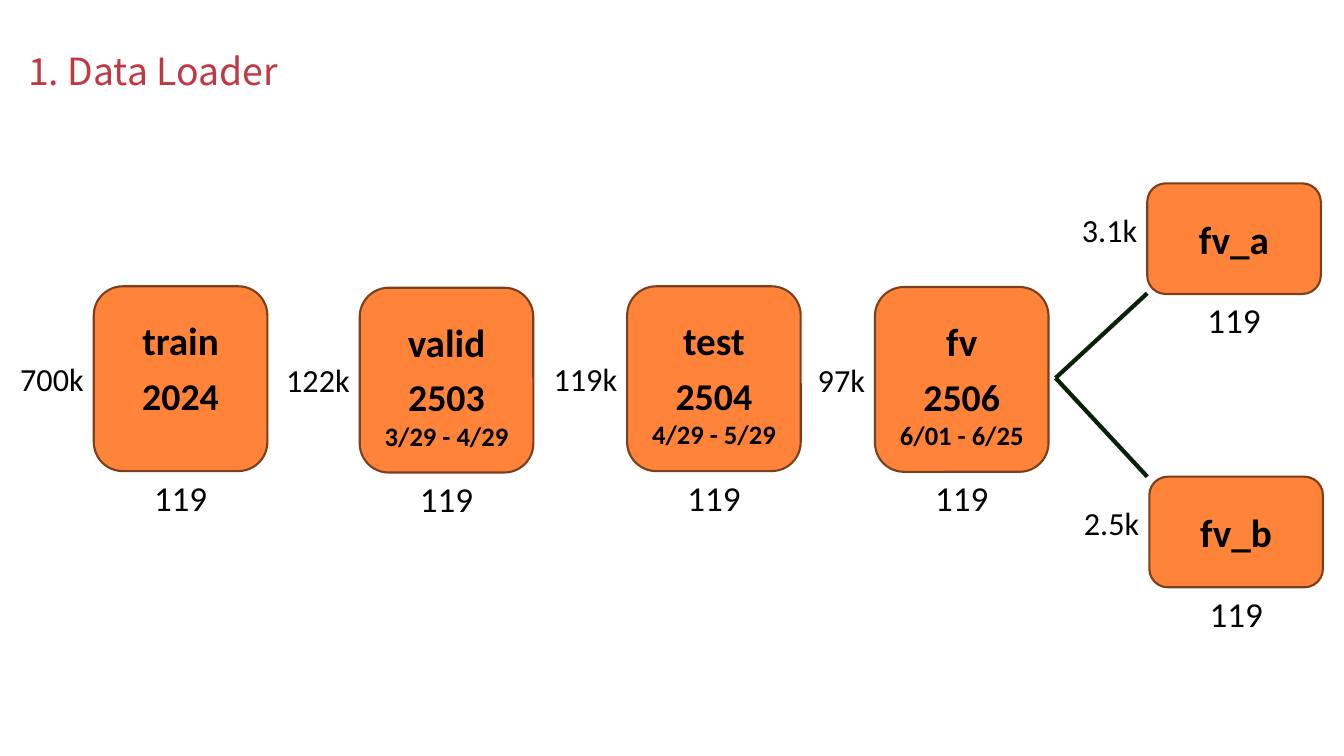
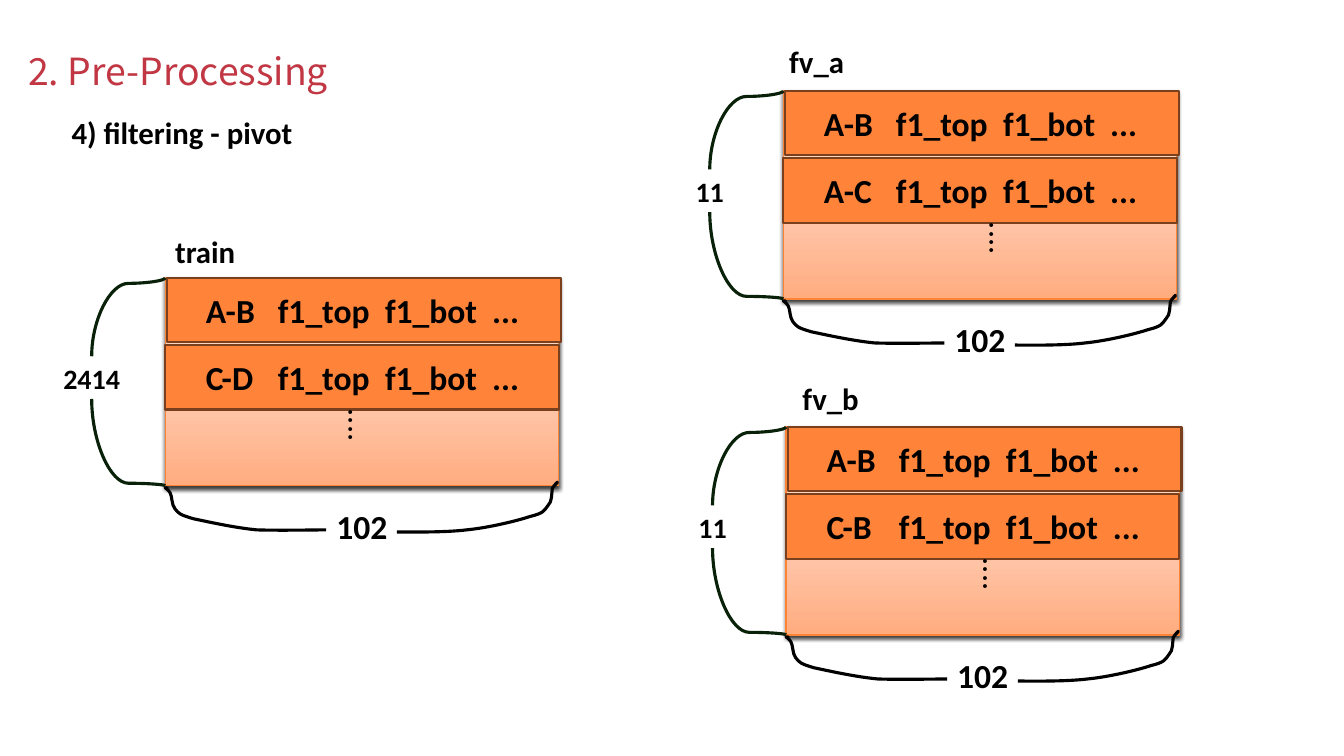
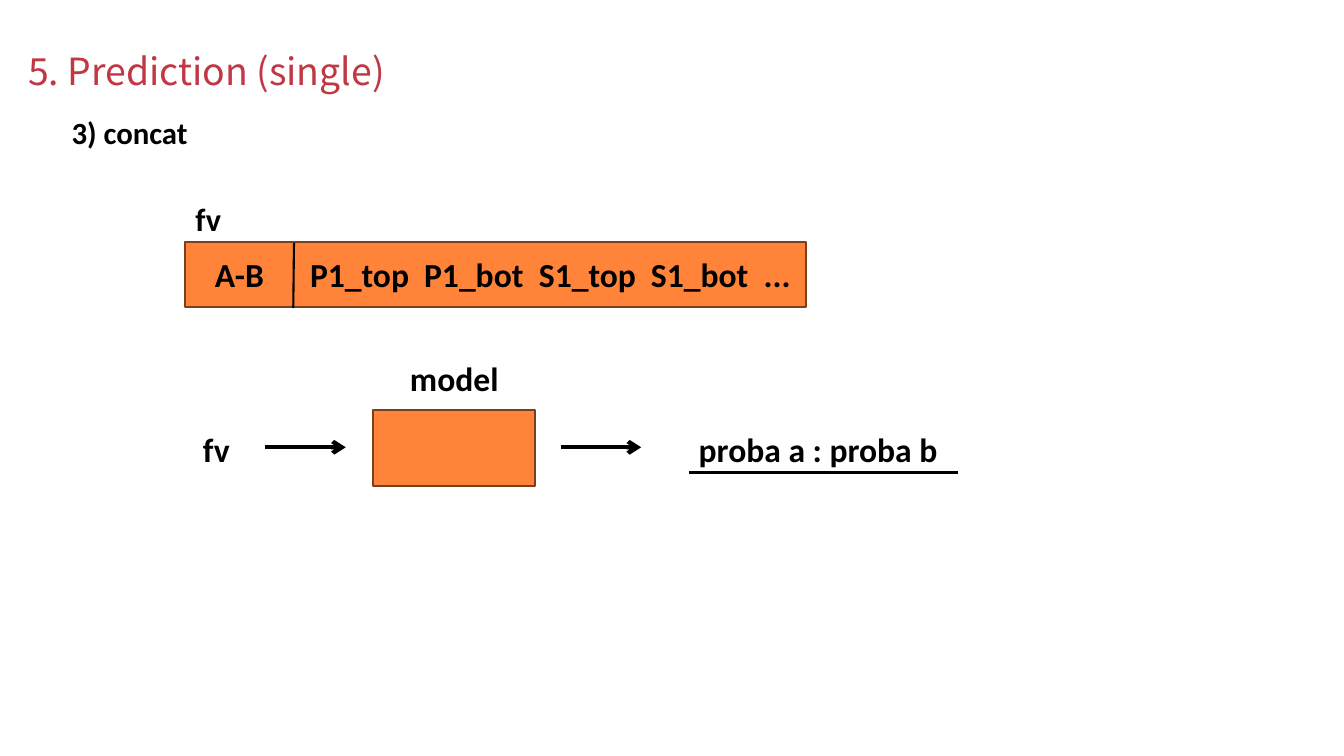
from copy import deepcopy

from pptx import Presentation
from pptx.dml.color import RGBColor
from pptx.enum.shapes import MSO_CONNECTOR as Link, MSO_SHAPE as Preset
from pptx.enum.text import MSO_ANCHOR as Anchor, PP_ALIGN as Align
from pptx.oxml.ns import qn
from pptx.oxml.xmlchemy import OxmlElement
from pptx.util import Pt

COLORS = {
    "title": "C13844", "text": "000000", "orange": "FF843A", "edge": "7A3F1C",
    "branch": "082108", "block_edge": "FF8335",
}
GRADIENT = [(0, "FFAC7F"), (0.35, "FFC3A5"), (1, "FFE7D9")]
BODY_FONT, TITLE_FONT = "Calibri", "Noto Sans CJK KR"

# Data sets: lines of text, row count, left, top
CARD_W, CARD_H, SMALL_H = 124, 132, 79
COLUMNS = "119"
CARDS = [
    (["train", "2024"], "700k", 67, 204.5),
    (["valid", "2503", "3/29 - 4/29"], "122k", 257, 205.5),
    (["test", "2504", "4/29 - 5/29"], "119k", 448, 204.5),
    (["fv", "2506", "6/01 - 6/25"], "97k", 625, 205),
]
SMALL_CARDS = [(["fv_a"], "3.1k", 819.5, 131), (["fv_b"], "2.5k", 821, 340.5)]
CARD_SIZES = [28, 27, 19]
BRANCH_START, BRANCH_ENDS = (754, 270), [(819.5, 209.5), (819.5, 340.5)]

# Pivot blocks: name, name offset, row count, row keys, left, top, dots offset
BLOCK_W, BLOCK_H, ROW_H, ROW_STEP = 281, 148.5, 46, 48
FEATURES = ["f1_top", "f1_bot", "..."]
FEATURE_TABS = [51.5, 128, 204.5]
WIDTH_COUNT = "102"
BLOCKS = [
    ("train", (0, -36), "2414", ["A-B", "C-D"], 118, 198.5, 114.5),
    ("fv_a", (-3, -38), "11", ["A-B", "A-C"], 559.5, 65, 131),
    ("fv_b", (4.5, -37.5), "11", ["A-B", "C-B"], 561.5, 305, 124.5),
]
# Bracket arcs: start, end, bend, rotation (offsets from the block's corner)
ARCS = [
    ((-52.5, 56), (0, 0), 93000, 90),
    ((-52.5, 86.5), (0, BLOCK_H), 97100, 270),
]
# Brace halves below a block: a start, then three points for each curve
BRACES = [
    [(165.5, 181.5),
     (174, 181.5), (199.5, 182), (215.5, 180),
     (231, 178.5), (251.5, 173.5), (260.5, 170.5),
     (270.5, 168), (270.5, 166.5), (273.5, 162.5),
     (276.5, 160), (276, 153.5), (276.5, 150.5),
     (278, 147.5), (280, 147), (280, 146),
     (281, 146), (278.5, 147.5), (278.5, 147.5)],
    [(115, 180),
     (107.5, 180), (81.5, 180.5), (65.5, 180),
     (49.5, 178.5), (29.5, 174), (20, 172),
     (10, 169), (10, 168.5), (7, 165),
     (4.5, 162), (5, 156), (3.5, 153.5),
     (2, 151), (0, 150), (0, 150),
     (0, 149), (1.5, 150.5), (2, 150.5)],
]

# Prediction
FEATURE_ROW = ["A-B", "P1_top", "P1_bot", "S1_top", "S1_bot", "..."]
FEATURE_ROW_TABS = [68, 149.5, 231.5, 311.5, 392]
# Text, left, top, width, size, alignment
PREDICTION_LABELS = [
    ("fv", 132.5, 139, 115, 23, Align.LEFT),
    ("fv", 119.5, 302.5, 70, 24, Align.CENTER),
    ("model", 266.5, 252, 116, 24, Align.CENTER),
    ("proba a : proba b", 492, 302.5, 192, 24, Align.LEFT),
]
# Start, end, width, arrowhead
PREDICTION_LINES = [
    ((210, 173.5), (209.5, 220), 1.5, False),
    ((189.5, 319.5), (247, 319.5), 3, True),
    ((400.5, 319.5), (458, 319.5), 3, True),
    ((492, 337.5), (684, 337.5), 2.25, False),
]


def rgb(name):
    return RGBColor.from_string(COLORS[name])


def element(parent, tag, **attributes):
    child = OxmlElement(tag)
    for key, value in attributes.items():
        child.set(key, str(value))
    parent.append(child)
    return child


def set_margins(frame, left=7.2, top=3.6, right=7.2, bottom=3.6):
    frame.margin_left, frame.margin_top = Pt(left), Pt(top)
    frame.margin_right, frame.margin_bottom = Pt(right), Pt(bottom)


def style(para, size, bold=False, align=Align.LEFT, color="text", font=BODY_FONT):
    para.alignment = align
    para.font.size, para.font.bold, para.font.name = Pt(size), bold, font
    para.font.color.rgb = rgb(color)


def add_label(page, text, left, top, width, height, size, bold=False,
              align=Align.LEFT, **look):
    box = page.shapes.add_textbox(Pt(left), Pt(top), Pt(width), Pt(height))
    box.text_frame.word_wrap = True
    para = box.text_frame.paragraphs[0]
    para.text = text
    style(para, size, bold, align, **look)
    return box


def add_box(page, left, top, width, height, preset=Preset.RECTANGLE):
    box = page.shapes.add_shape(preset, Pt(left), Pt(top), Pt(width), Pt(height))
    box.shadow.inherit = False
    box.fill.solid()
    box.fill.fore_color.rgb = rgb("orange")
    box.line.color.rgb, box.line.width = rgb("edge"), Pt(1.5)
    return box


def add_line(page, start, end, width, color="text", arrow=False, kind=Link.STRAIGHT):
    line = page.shapes.add_connector(kind, *(Pt(value) for value in (*start, *end)))
    line.line.color.rgb, line.line.width = rgb(color), Pt(width)
    properties = line._element.spPr
    if arrow:
        element(properties.find(qn("a:ln")), "a:tailEnd", type="arrow")
    element(properties, "a:effectLst")
    return line


def add_page(deck, title, subtitle=None):
    page = deck.slides.add_slide(deck.slide_layouts[6])
    box = add_label(page, title, 20, 18, 381, 60, 26.7, color="title", font=TITLE_FONT)
    set_margins(box.text_frame, 0, 0, 0, 0)
    box.text_frame.vertical_anchor = Anchor.MIDDLE
    box.text_frame.paragraphs[0].line_spacing = 1.16
    if subtitle:
        add_label(page, subtitle, 44, 78, 517, 33, 22, bold=True)
    return page


def add_card(page, lines, count, left, top, height, lift=0):
    """A rounded card with its row count at the left and columns below."""
    card = add_box(page, left, top, CARD_W, height, Preset.ROUNDED_RECTANGLE)
    frame = card.text_frame
    single = len(lines) == 1
    frame.vertical_anchor = Anchor.MIDDLE if single else Anchor.TOP
    set_margins(frame, 0, 0 if single else 15.5, 0, 0)
    frame.text = "\n".join(lines)
    for para, size in zip(frame.paragraphs, CARD_SIZES):
        style(para, size, True, Align.CENTER)
    if not single:
        frame.paragraphs[1].space_before = Pt(6.5)
    add_label(page, count, left - 67, top + height / 2 - 17.5 - lift, 67, 35, 23,
              align=Align.RIGHT)
    add_label(page, COLUMNS, left, top + height, CARD_W, 37, 25, align=Align.CENTER)


def add_row(page, cells, tabs, left, top, width, indent):
    """A bar of cells whose text is set at tab stops."""
    row = add_box(page, left, top, width, ROW_H)
    frame = row.text_frame
    frame.word_wrap = True
    frame.vertical_anchor = Anchor.MIDDLE
    set_margins(frame, indent, 0, 0, 0)
    para = frame.paragraphs[0]
    para.text = "\t".join(cells)
    style(para, 24, True)
    properties = para._p.get_or_add_pPr()
    stops = OxmlElement("a:tabLst")
    for tab in tabs:
        element(stops, "a:tab", pos=Pt(tab), algn="l")
    properties.insert_element_before(stops, "a:defRPr", "a:extLst")


def add_arc(page, start, end, bend, turn):
    """A curved connector that leaves its start vertically."""
    (x1, y1), (x2, y2) = start, end
    mid_x, mid_y = (x1 + x2) / 2, (y1 + y2) / 2
    half_w, half_h = abs(y2 - y1) / 2, abs(x2 - x1) / 2
    side = 1 if turn == 90 else -1
    arc = add_line(page, (mid_x + half_w, mid_y + side * half_h),
                   (mid_x - half_w, mid_y - side * half_h), 2.25, "branch",
                   kind=Link.CURVE)
    properties = arc._element.spPr
    properties.find(qn("a:xfrm")).set("rot", str(turn * 60000))
    guides = next(properties.iter(qn("a:avLst")))
    element(guides, "a:gd", name="adj1", fmla=f"val {bend}")


def add_brace(page, points):
    """An open outline whose points after the first form cubic curves."""
    start, *rest = [(Pt(x), Pt(y)) for x, y in points]
    builder = page.shapes.build_freeform(*start)
    builder.add_line_segments(rest, close=False)
    brace = builder.convert_to_shape()
    brace.shadow.inherit = False
    brace.fill.background()
    brace.line.color.rgb, brace.line.width = rgb("text"), Pt(2.25)
    segments = list(brace._element.iter(qn("a:lnTo")))
    outline = segments[0].getparent()
    for first in range(0, len(segments), 3):
        curve = element(outline, "a:cubicBezTo")
        for segment in segments[first:first + 3]:
            curve.append(segment[0])
            outline.remove(segment)


def add_block_base(page, left, top):
    base = add_box(page, left, top, BLOCK_W, BLOCK_H)
    base.line.color.rgb, base.line.width = rgb("block_edge"), Pt(1)
    base.fill.gradient()
    base.fill.gradient_angle = 90
    stops = next(base._element.iter(qn("a:gsLst")))
    stops.append(deepcopy(stops[0]))
    for stop, (position, color) in zip(base.fill.gradient_stops, GRADIENT):
        stop.position, stop.color.rgb = position, RGBColor.from_string(color)
    effects = base._element.spPr.find(qn("a:effectLst"))
    shadow = element(effects, "a:outerShdw", blurRad=Pt(3), dist=Pt(2),
                     dir=5400000, rotWithShape=0)
    element(element(shadow, "a:srgbClr", val=COLORS["text"]), "a:alpha", val=75000)


def add_block(page, name, name_offset, count, keys, left, top, dots):
    add_block_base(page, left, top)
    for start, end, bend, turn in ARCS:
        add_arc(page, (left + start[0], top + start[1]),
                (left + end[0], top + end[1]), bend, turn)
    for points in BRACES:
        add_brace(page, [(left + x, top + y) for x, y in points])
    # The second row lies below the first, which is set slightly right
    for index, shift in ((1, 0), (0, 1.5)):
        add_row(page, [keys[index], *FEATURES], FEATURE_TABS, left + shift,
                top + index * ROW_STEP, BLOCK_W, 29 - shift)
    more = add_label(page, "....", left + dots, top + 93.5, 43, 36, 23,
                     align=Align.CENTER)
    set_margins(more.text_frame, top=0, bottom=0)
    more.text_frame._txBody.bodyPr.set("vert", "eaVert")
    add_label(page, count, left - 86, top + 56, 67, 31, 20, True, Align.CENTER)
    add_label(page, WIDTH_COUNT, left + 89, top + 159, 103, 35, 24, True, Align.CENTER)
    add_label(page, name, left + name_offset[0], top + name_offset[1], 87, 33, 22, True)


def main():
    deck = Presentation()
    deck.slide_width, deck.slide_height = Pt(960), Pt(540)

    # Data loader
    page = add_page(deck, "1. Data Loader")
    for card in CARDS:
        add_card(page, *card, CARD_H)
    for card in SMALL_CARDS:
        add_card(page, *card, SMALL_H, lift=6.5)
    for end in BRANCH_ENDS:
        add_line(page, BRANCH_START, end, 3, "branch")

    # Pivot
    page = add_page(deck, "2. Pre-Processing", "4) filtering - pivot")
    for block in BLOCKS:
        add_block(page, *block)

    # Prediction
    page = add_page(deck, "5. Prediction (single)", "3) concat")
    add_row(page, FEATURE_ROW, FEATURE_ROW_TABS, 132.5, 173, 443, 21)
    add_box(page, 266.5, 293, 116, 54)
    for text, left, top, width, size, align in PREDICTION_LABELS:
        add_label(page, text, left, top, width, 35, size, True, align)
    for start, end, width, arrow in PREDICTION_LINES:
        add_line(page, start, end, width, arrow=arrow)

    deck.save("out.pptx")


if __name__ == "__main__":
    main()
